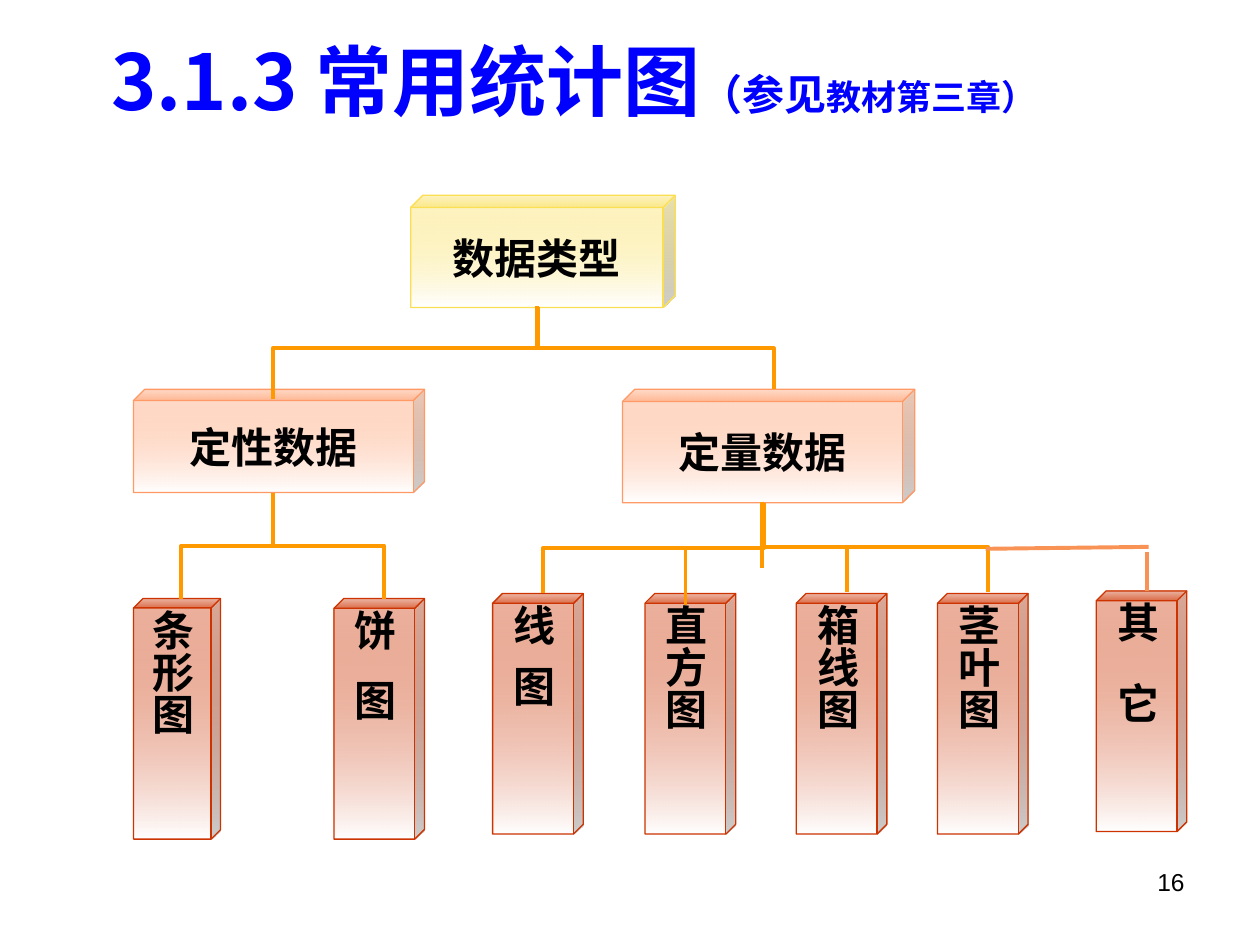
from lxml import etree
from pptx import Presentation
from pptx import util as u
from pptx.dml import color
from pptx.enum import shapes, text
from pptx.oxml import ns

COLORS = {"title": "0000FF", "text": "000000", "root": "FBDF53", "branch": "FF9966",
          "leaf": "CC3300", "fade": "FFFFFF", "link": "FF9900", "other": "F99355"}
ASIAN_FONT = "Noto Sans CJK SC"
TITLE = [("3.1.3 常用统计图", 44), ("（参见", 24), ("教材第三章）", 20)]
PAGE_NUMBER = "16"

DATA_TYPES = [
    ("数据类型", "root", 234.7, 111.6, 151.2, 64.1),
    ("定性数据", "branch", 76.3, 222.5, 166.3, 59),
    ("定量数据", "branch", 355.7, 222.5, 167, 64.8),
]
LEAF_HEIGHT = 137.5
CHARTS = [
    ("条形图", 76.3, 342, 49.7, 0),
    ("饼 图", 190.8, 342, 51.8, 10.5),
    ("线 图", 281.5, 339.1, 51.8, 5.5),
    ("直方图", 368.6, 339.1, 51.8, 0),
    ("箱线图", 455, 339.1, 51.8, 0),
    ("茎叶图", 535.7, 339.1, 51.8, 0),
    ("其 它", 626.4, 337.7, 51.8, 16.5),
]
ELBOWS = [
    ((219.6, 342), (156.2, 281.5), 311.8),
    ((103.7, 342), (156.2, 281.5), 311.8),
    ((442.1, 222.5), (307.4, 175.7), 199.1),
    ((156.2, 228.2), (306.7, 175), 198.6),
    ((436.3, 287.3), (310.3, 339.1), 313),
    ((436.3, 287.3), (391.7, 345.6), 313),
    ((435.6, 286.6), (483.8, 338.4), 312.4),
    ((435.6, 286.6), (564.5, 338.4), 312.4),
]
STRAIGHTS = [
    ((435.6, 286.6), (435.6, 324.5), "link"),
    ((563.2, 313.6), (656.4, 312.5), "other"),
    ((655.2, 315.4), (655.2, 337.7), "other"),
]


def rgb(name):
    return color.RGBColor.from_string(COLORS[name])


def write(frame, spans, font="Times New Roman", ink="text", bold=True,
          align=text.PP_ALIGN.CENTER, anchor=text.MSO_ANCHOR.MIDDLE, gap=0):
    frame.vertical_anchor = anchor
    para = frame.paragraphs[0]
    para.alignment = align
    for words, size in spans:
        span = para.add_run()
        span.text = words
        span.font.size = u.Pt(size)
        span.font.name = font
        span.font.bold = bold
        span.font.color.rgb = rgb(ink)
        properties = span.font._element
        etree.SubElement(properties, ns.qn("a:ea"), typeface=ASIAN_FONT)
        if gap and words == " ":
            properties.set("spc", str(round(gap * 100)))


def add_text(page, left, top, width, height, spans, **style):
    box = page.shapes.add_textbox(*map(u.Pt, (left, top, width, height)))
    box.text_frame.word_wrap = True
    write(box.text_frame, spans, **style)


def add_cube(page, words, level, left, top, width, height, vertical=False, gap=0):
    cube = page.shapes.add_shape(shapes.MSO_SHAPE.CUBE,
                                 *map(u.Pt, (left, top, width, height)))
    cube.shadow.inherit = False
    cube.adjustments[0] = 0.108
    cube.fill.gradient()
    cube.fill.gradient_angle = 270
    for stop, name, position in zip(cube.fill.gradient_stops, (level, "fade"), (0, 1)):
        stop.color.rgb = rgb(name)
        stop.position = position
    tint = next(cube._element.iter(ns.qn("a:srgbClr")))
    etree.SubElement(tint, ns.qn("a:alpha"), val="40000")
    cube.line.color.rgb = rgb(level)
    cube.line.width = u.Pt(0.75)
    frame = cube.text_frame
    frame.word_wrap = False
    frame.margin_left = frame.margin_right = u.Pt(2.2)
    frame.margin_top = frame.margin_bottom = u.Pt(0.7)
    if vertical:
        frame._element.bodyPr.set("vert", "eaVert")
    pieces = words.partition(" ")
    write(frame, [(piece, 24) for piece in pieces if piece], gap=gap)


def add_line(page, kind, start, end, ink):
    line = page.shapes.add_connector(kind, *map(u.Pt, start + end))
    line.line.color.rgb = rgb(ink)
    line.line.width = u.Pt(2.25)
    etree.SubElement(line._element.spPr, ns.qn("a:effectLst"))
    return line


def add_elbow(page, start, end, bend):
    (x1, y1), (x2, y2) = start, end
    run, rise = abs(x2 - x1), abs(y2 - y1)
    left, top = (x1 + x2 - rise) / 2, (y1 + y2 - run) / 2
    line = add_line(page, shapes.MSO_CONNECTOR.ELBOW, (left, top),
                    (left + rise, top + run), "link")
    frame = line._element.spPr.find(ns.qn("a:xfrm"))
    frame.set("rot", str((90 if x2 < x1 else 270) * 60000))
    if (x2 < x1) == (y2 < y1):
        frame.set("flipH", "1")
    geometry = line._element.spPr.find(ns.qn("a:prstGeom"))
    guides = geometry.find(ns.qn("a:avLst"))
    if guides is None:
        guides = etree.SubElement(geometry, ns.qn("a:avLst"))
    share = round((bend - y1) / (y2 - y1) * 100000)
    etree.SubElement(guides, ns.qn("a:gd"), name="adj1", fmla=f"val {share}")


def main():
    deck = Presentation()
    deck.slide_width, deck.slide_height = u.Pt(720), u.Pt(540)
    page = deck.slides.add_slide(deck.slide_layouts[6])
    add_text(page, 516.2, 491.8, 167.8, 37.4, [(PAGE_NUMBER, 14)], font="Arial",
             bold=False, align=text.PP_ALIGN.RIGHT, anchor=text.MSO_ANCHOR.TOP)
    add_text(page, 31, 15.1, 594, 60.5, TITLE, font=ASIAN_FONT, ink="title")
    for words, level, *place in DATA_TYPES:
        add_cube(page, words, level, *place)
    for words, left, top, width, gap in CHARTS:
        add_cube(page, words, "leaf", left, top, width, LEAF_HEIGHT,
                 vertical=True, gap=gap)
    for start, end, bend in ELBOWS:
        add_elbow(page, start, end, bend)
    for start, end, ink in STRAIGHTS:
        add_line(page, shapes.MSO_CONNECTOR.STRAIGHT, start, end, ink)
    deck.save("out.pptx")


if __name__ == "__main__":
    main()
